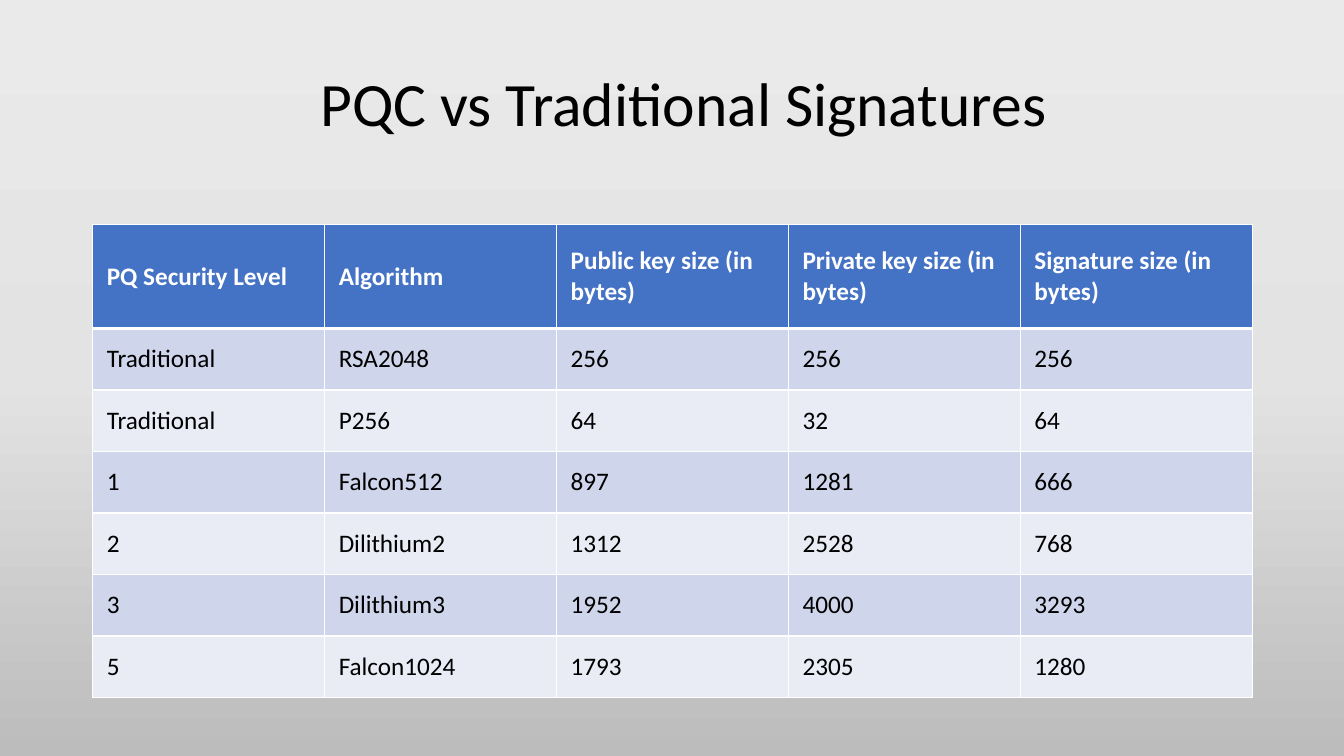
from copy import deepcopy

from lxml.etree import SubElement
from pptx import Presentation
from pptx.dml.color import RGBColor
from pptx.enum.text import MSO_ANCHOR
from pptx.oxml.ns import qn
from pptx.util import Inches, Pt


def style_run(run, size, color, bold=False):
    run.font.name = "Calibri"
    run.font.size = Pt(size)
    run.font.bold = bold
    run.font.color.rgb = RGBColor.from_string(color)


def add_border(cell, side, width):
    line = SubElement(cell._tc.get_or_add_tcPr(), qn(f"a:ln{side}"), w=str(Pt(width)))
    fill = SubElement(line, qn("a:solidFill"))
    SubElement(fill, qn("a:srgbClr"), val="FFFFFF")


prs = Presentation()
prs.slide_width = Inches(13.33)
prs.slide_height = Inches(7.5)
slide = prs.slides.add_slide(prs.slide_layouts[6])

# Background: three-stop vertical gradient
backdrop = slide.background.fill
backdrop.gradient()
backdrop.gradient_angle = 270
stop_list = next(slide._element.iter(qn("a:gsLst")))
stop_list.append(deepcopy(stop_list[-1]))
stops = [(0, "EBEAEA"), (0.5, "E4E3E3"), (1, "BDBCBC")]
for stop, (position, color) in zip(backdrop.gradient_stops, stops):
    stop.position = position
    stop.color.rgb = RGBColor.from_string(color)

# Title
title = slide.shapes.add_textbox(Inches(3.08), Inches(0.33), Inches(11.5), Inches(1.45))
title.text_frame.word_wrap = True
title.text_frame.vertical_anchor = MSO_ANCHOR.MIDDLE
heading = title.text_frame.paragraphs[0]
heading.text = "PQC vs Traditional Signatures"
heading.line_spacing = 0.9
style_run(heading.runs[0], 44, "000000")

# Signature comparison table
signatures = [
    ("PQ Security Level", "Algorithm", "Public key size (in bytes)",
     "Private key size (in bytes)", "Signature size (in bytes)"),
    ("Traditional", "RSA2048", "256", "256", "256"),
    ("Traditional", "P256", "64", "32", "64"),
    ("1", "Falcon512", "897", "1281", "666"),
    ("2", "Dilithium2", "1312", "2528", "768"),
    ("3", "Dilithium3", "1952", "4000", "3293"),
    ("5", "Falcon1024", "1793", "2305", "1280"),
]
comparison = slide.shapes.add_table(
    len(signatures), len(signatures[0]),
    Inches(0.92), Inches(2.23), Inches(11.5), Inches(4.7)).table

for row, values in enumerate(signatures):
    is_header = row == 0
    comparison.rows[row].height = Inches(1.03 if is_header else 0.61)
    band = "4472C4" if is_header else ("E9EBF5", "CFD5EA")[row % 2]
    for column, value in enumerate(values):
        cell = comparison.cell(row, column)
        cell.text = value
        cell.vertical_anchor = MSO_ANCHOR.MIDDLE
        cell.margin_left = cell.margin_right = Inches(0.14)
        cell.margin_top = cell.margin_bottom = Inches(0.06)
        style_run(cell.text_frame.paragraphs[0].runs[0], 18,
                  "FFFFFF" if is_header else "000000", is_header)
        # Borders precede the fill; the rule under the header is thicker
        add_border(cell, "L", 1)
        add_border(cell, "R", 1)
        add_border(cell, "T", 3 if row == 1 else 1)
        add_border(cell, "B", 3 if is_header else 1)
        cell.fill.solid()
        cell.fill.fore_color.rgb = RGBColor.from_string(band)

prs.save("out.pptx")
